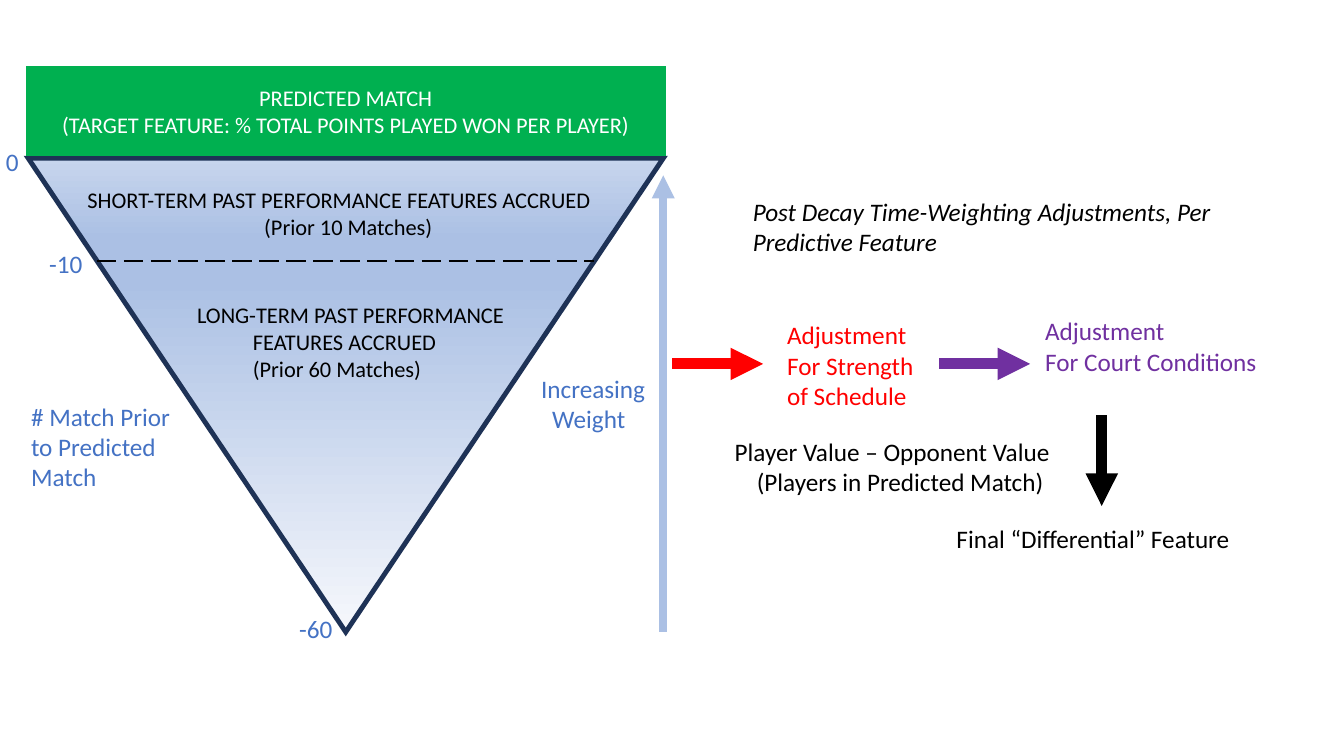
from dataclasses import dataclass

from lxml.etree import SubElement
from pptx import Presentation
from pptx.dml.color import RGBColor as Rgb
from pptx.enum.dml import MSO_LINE as Dash
from pptx.enum.shapes import MSO_CONNECTOR as Conn, MSO_SHAPE as Kind
from pptx.enum.text import MSO_ANCHOR as Anchor, MSO_AUTO_SIZE as Fit, PP_ALIGN as Align
from pptx.oxml.ns import qn
from pptx.util import Inches, Pt

COLS, ROWS = 40, 22.5
WIDE, HIGH = Inches(13.33), Inches(7.5)
FONT = "Calibri"
HUES = {
    "black": "000000", "white": "FFFFFF", "blue": "4472C4", "navy": "1E3256",
    "pale": "ABC0E4", "sky": "C7D5ED", "mist": "F6F8FC",
    "green": "00B050", "red": "FF0000", "purple": "7030A0",
}


@dataclass
class Label:
    box: tuple[float, float, float, float]  # column, row, columns, rows
    lines: list[str]
    hue: str = "blue"
    size: int = 18
    wrap: bool = False
    low: bool = False
    slant: bool = False
    dents: tuple[float, ...] = ()  # left indent of each line, in columns


@dataclass
class Rule:
    start: tuple[float, float]
    end: tuple[float, float]
    hue: str
    weight: float = 7.75
    arrow: bool = True


def across(cols: float) -> int:
    return round(WIDE * cols / COLS)


def down(rows: float) -> int:
    return round(HIGH * rows / ROWS)


def place(box: tuple) -> tuple:
    left, top, width, height = box
    return across(left), down(top), across(width), down(height)


def tint(name: str) -> Rgb:
    return Rgb.from_string(HUES[name])


def write(frame, lines: list[str], hue: str, size: int, slant: bool = False) -> None:
    frame.text = "\n".join(lines)
    for para in frame.paragraphs:
        for run in para.runs:
            font = run.font
            font.name, font.size, font.italic = FONT, Pt(size), slant
            font.color.rgb = tint(hue)


def add_label(slide, item: Label) -> None:
    frame = slide.shapes.add_textbox(*place(item.box)).text_frame
    write(frame, item.lines, item.hue, item.size, item.slant)
    frame.word_wrap = item.wrap
    frame.auto_size = Fit.SHAPE_TO_FIT_TEXT
    if item.low:
        frame.vertical_anchor = Anchor.BOTTOM
    for para, dent in zip(frame.paragraphs, item.dents):
        para._p.get_or_add_pPr().set("marL", str(across(dent)))


def add_block(slide, kind: Kind, box: tuple, edge: str):
    block = slide.shapes.add_shape(kind, *place(box))
    block.shadow.inherit = False
    block.line.color.rgb = tint(edge)
    block.line.width = Pt(3.5)
    SubElement(block.line._get_or_add_ln(), qn("a:miter"), lim="800000")
    return block


def add_rule(slide, item: Rule) -> None:
    (left, top), (right, base) = item.start, item.end
    rule = slide.shapes.add_connector(
        Conn.STRAIGHT, across(left), down(top), across(right), down(base))
    rule.line.color.rgb = tint(item.hue)
    rule.line.width = Pt(item.weight)
    if item.arrow:
        SubElement(rule.line._get_or_add_ln(), qn("a:tailEnd"), type="triangle")
    else:
        rule.line.dash_style = Dash.LONG_DASH
    SubElement(rule._element.spPr, qn("a:effectLst"))


def shade(block, stops: list[tuple[int, str]]) -> None:
    block.fill.gradient()
    block.fill.gradient_angle = 270
    ramp = block._element.spPr.find(".//" + qn("a:gsLst"))
    for old in list(ramp):
        ramp.remove(old)
    for share, name in stops:
        stop = SubElement(ramp, qn("a:gs"), pos=str(share * 1000))
        SubElement(stop, qn("a:srgbClr"), val=HUES[name])


LEFT, SPAN = 0.84, 18.9  # shared by the banner and the funnel
FLOW = 10.83  # row of the adjustment arrows
STEP = 2.7  # length of each short arrow

RULES = [
    Rule((2.88, 7.77), (17.67, 7.77), "black", 1.75, arrow=False),
    Rule((LEFT + SPAN, 18.81), (LEFT + SPAN, 5.22), "pale", 5.5),
    Rule((20.01, FLOW), (20.01 + STEP, FLOW), "red"),
    Rule((27.96, FLOW), (27.96 + STEP, FLOW), "purple"),
    Rule((32.79, 12.36), (32.79, 12.36 + STEP), "black"),
]
LABELS = [
    # Match scale
    Label((-0.12, 4.2, 0.99, 1.2), ["0"]),
    Label((1.17, 7.23, 1.8, 1.2), ["-10"], wrap=True),
    Label((8.61, 18.12, 1.62, 1.2), ["-60"]),
    Label((0.63, 11.79, 4.86, 3.03), ["# Match Prior to Predicted Match"], wrap=True),
    Label((15.81, 10.95, 3.72, 2.13), ["Increasing", "Weight"], wrap=True,
          dents=(0, 0.33)),
    # Funnel content
    Label((2.31, 5.4, 15.84, 1.92),
          ["SHORT-TERM PAST PERFORMANCE FEATURES ACCRUED", "(Prior 10 Matches)"],
          "black", 16, wrap=True, dents=(0, 5.26)),
    Label((3.03, 8.82, 13.71, 2.73),
          ["LONG-TERM PAST PERFORMANCE", "FEATURES ACCRUED", "(Prior 60 Matches)"],
          "black", 16, wrap=True, dents=(2.54, 4.2, 4.2)),
    # Adjustments
    Label((22.11, 5.7, 14.73, 2.13),
          ["Post Decay Time-Weighting Adjustments, Per", "Predictive Feature"],
          "black", slant=True),
    Label((23.13, 9.33, 4.53, 3.03),
          ["Adjustment", "For Strength", "of Schedule"], "red", low=True),
    Label((30.81, 9.21, 6.96, 2.13),
          ["Adjustment", "For Court Conditions"], "purple", low=True),
    Label((21.57, 12.84, 10.8, 2.13),
          ["Player Value – Opponent Value", "(Players in Predicted Match)"],
          "black", wrap=True, dents=(0, 0.66)),
    Label((28.17, 15.42, 9.24, 1.2), ["Final “Differential” Feature"], "black"),
]

deck = Presentation()
deck.slide_width, deck.slide_height = WIDE, HIGH
slide = deck.slides.add_slide(deck.slide_layouts[6])

# Funnel
funnel = add_block(slide, Kind.ISOSCELES_TRIANGLE, (LEFT, 4.71, SPAN, 14.1), "navy")
funnel.rotation = 180
shade(funnel, [(0, "mist"), (74, "pale"), (83, "pale"), (100, "sky")])

# Banner
banner = add_block(slide, Kind.RECTANGLE, (LEFT, 2.04, SPAN, 2.52), "green")
banner.fill.solid()
banner.fill.fore_color.rgb = tint("green")
frame = banner.text_frame
write(frame, ["PREDICTED MATCH",
              "(TARGET FEATURE: % TOTAL POINTS PLAYED WON PER PLAYER)"], "white", 16)
frame.word_wrap = True
frame.vertical_anchor = Anchor.MIDDLE
for para in frame.paragraphs:
    para.alignment = Align.CENTER

# Lines and labels
for rule in RULES:
    add_rule(slide, rule)
for label in LABELS:
    add_label(slide, label)

deck.save("out.pptx")
